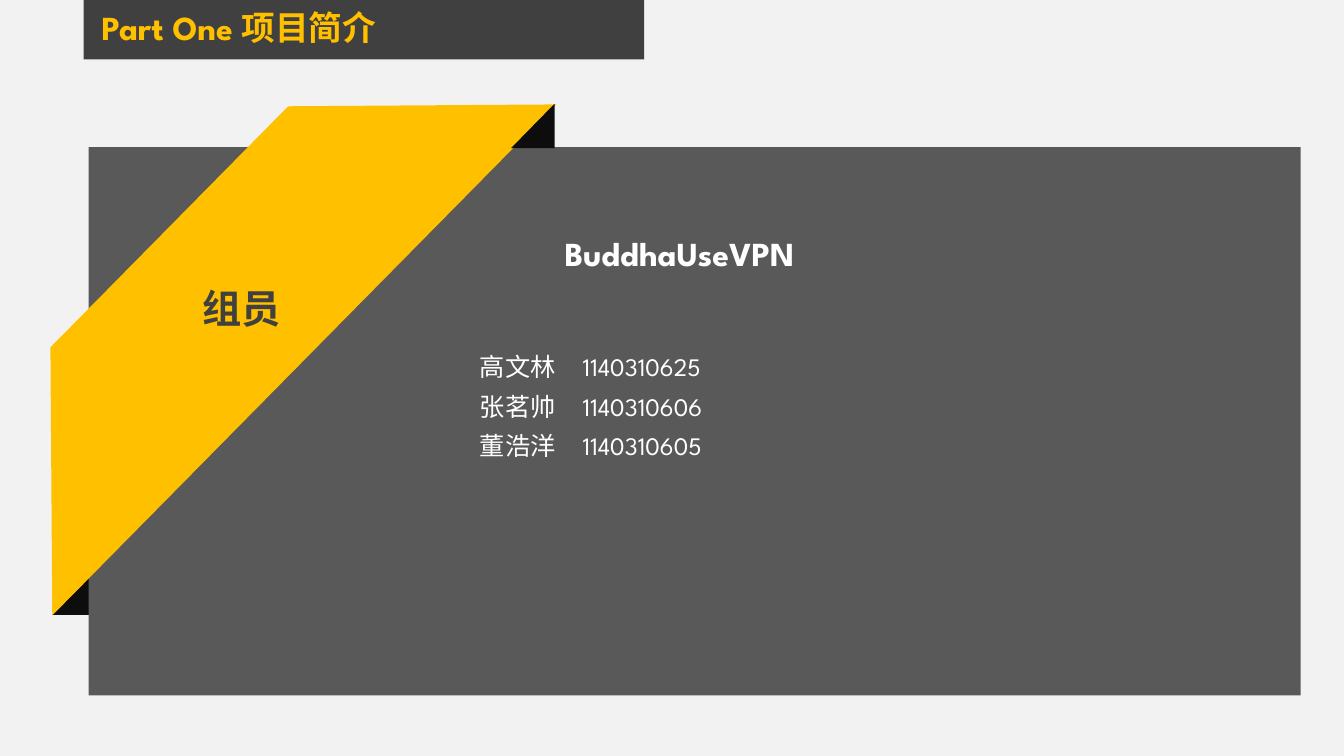
"""Build the project introduction slide listing the team members."""
from dataclasses import dataclass

from lxml.etree import SubElement
from pptx import Presentation
from pptx.dml.color import RGBColor
from pptx.enum.shapes import MSO_SHAPE
from pptx.enum.text import MSO_ANCHOR, MSO_AUTO_SIZE, PP_ALIGN
from pptx.oxml.ns import qn
from pptx.slide import Slide
from pptx.util import Emu, Inches, Pt

WIDTH, HEIGHT = Inches(13.33), Inches(7.5)
FONT = "League Spartan"
YELLOW, WHITE, CHARCOAL, GREY, BLACK = "FFC000", "FFFFFF", "404040", "595959", "0D0D0D"
NUMBER_TAB = Inches(1.02)


@dataclass(frozen=True)
class Area:
    """A rectangle in percent of the slide's width and height."""
    left: float
    top: float
    width: float
    height: float

    def emu(self) -> tuple[Emu, Emu, Emu, Emu]:
        return (Emu(round(WIDTH * self.left / 100)), Emu(round(HEIGHT * self.top / 100)),
                Emu(round(WIDTH * self.width / 100)), Emu(round(HEIGHT * self.height / 100)))


@dataclass(frozen=True)
class Block:
    """A filled preset shape."""
    kind: MSO_SHAPE
    area: Area
    fill: str
    adjust: float | None = None
    rotation: float = 0


@dataclass(frozen=True)
class Member:
    """A team member with a student number."""
    name: str
    number: str


BLOCKS = [
    Block(MSO_SHAPE.RECTANGLE, Area(6.23, 0, 41.7, 7.87), CHARCOAL),
    Block(MSO_SHAPE.ISOSCELES_TRIANGLE, Area(3.9, 75.47, 3.23, 5.87), BLACK, 1),
    Block(MSO_SHAPE.RECTANGLE, Area(6.6, 19.47, 90.17, 72.53), GREY),
    Block(MSO_SHAPE.TRAPEZOID, Area(-9.08, 26.27, 53.41, 25.07), YELLOW, 1, 314.6),
    Block(MSO_SHAPE.ISOSCELES_TRIANGLE, Area(38.03, 13.73, 3.23, 5.87), BLACK, 1),
]
MEMBERS = [
    Member("高文林", "1140310625"),
    Member("张茗帅", "1140310606"),
    Member("董浩洋", "1140310605"),
]


def rgb(color: str) -> RGBColor:
    return RGBColor.from_string(color)


def add_block(slide: Slide, block: Block) -> None:
    sp = slide.shapes.add_shape(block.kind, *block.area.emu())
    sp.shadow.inherit = False
    sp.fill.solid()
    sp.fill.fore_color.rgb = rgb(block.fill)
    sp.line.fill.background()
    sp.rotation = block.rotation
    if block.adjust is not None:
        sp.adjustments[0] = block.adjust


def add_text(slide: Slide, area: Area, text: str, *, size: float, color: str,
             bold: bool = False, align: PP_ALIGN = PP_ALIGN.LEFT, spacing: float = 1,
             wrap: bool = False, tab: Emu | None = None) -> None:
    tf = slide.shapes.add_textbox(*area.emu()).text_frame
    tf.word_wrap = wrap
    tf.auto_size = MSO_AUTO_SIZE.SHAPE_TO_FIT_TEXT
    tf.vertical_anchor = MSO_ANCHOR.TOP
    for i, line in enumerate(text.split("\n")):
        p = tf.add_paragraph() if i else tf.paragraphs[0]
        if tab is not None:
            tabs = SubElement(p._p.get_or_add_pPr(), qn("a:tabLst"))
            SubElement(tabs, qn("a:tab"), pos=str(int(tab)), algn="l")
        p.alignment = align
        p.line_spacing = spacing
        r = p.add_run()
        r.text = line
        r.font.name = FONT
        r.font.size = Pt(size)
        r.font.bold = bold
        r.font.color.rgb = rgb(color)


def main() -> None:
    prs = Presentation()
    prs.slide_width, prs.slide_height = WIDTH, HEIGHT
    slide = prs.slides.add_slide(prs.slide_layouts[6])
    slide.background.fill.solid()
    slide.background.fill.fore_color.rgb = rgb("F2F2F2")
    for block in BLOCKS:
        add_block(slide, block)
    add_text(slide, Area(6.83, 0.8, 28.13, 6.67), "Part One 项目简介",
             size=24, color=YELLOW, bold=True, spacing=0.9, wrap=True)
    add_text(slide, Area(14.33, 36.93, 7.43, 7.6), "组员",
             size=28, color=CHARCOAL, bold=True)
    add_text(slide, Area(40.36, 30.13, 20.4, 6.67), "BuddhaUseVPN",
             size=24, color=WHITE, bold=True, align=PP_ALIGN.CENTER)
    add_text(slide, Area(34.96, 44.67, 60.62, 17.07),
             "\n".join(f"{m.name}\t{m.number}" for m in MEMBERS),
             size=18, color=WHITE, align=PP_ALIGN.JUSTIFY, spacing=1.3, wrap=True,
             tab=NUMBER_TAB)
    prs.save("out.pptx")


if __name__ == "__main__":
    main()
